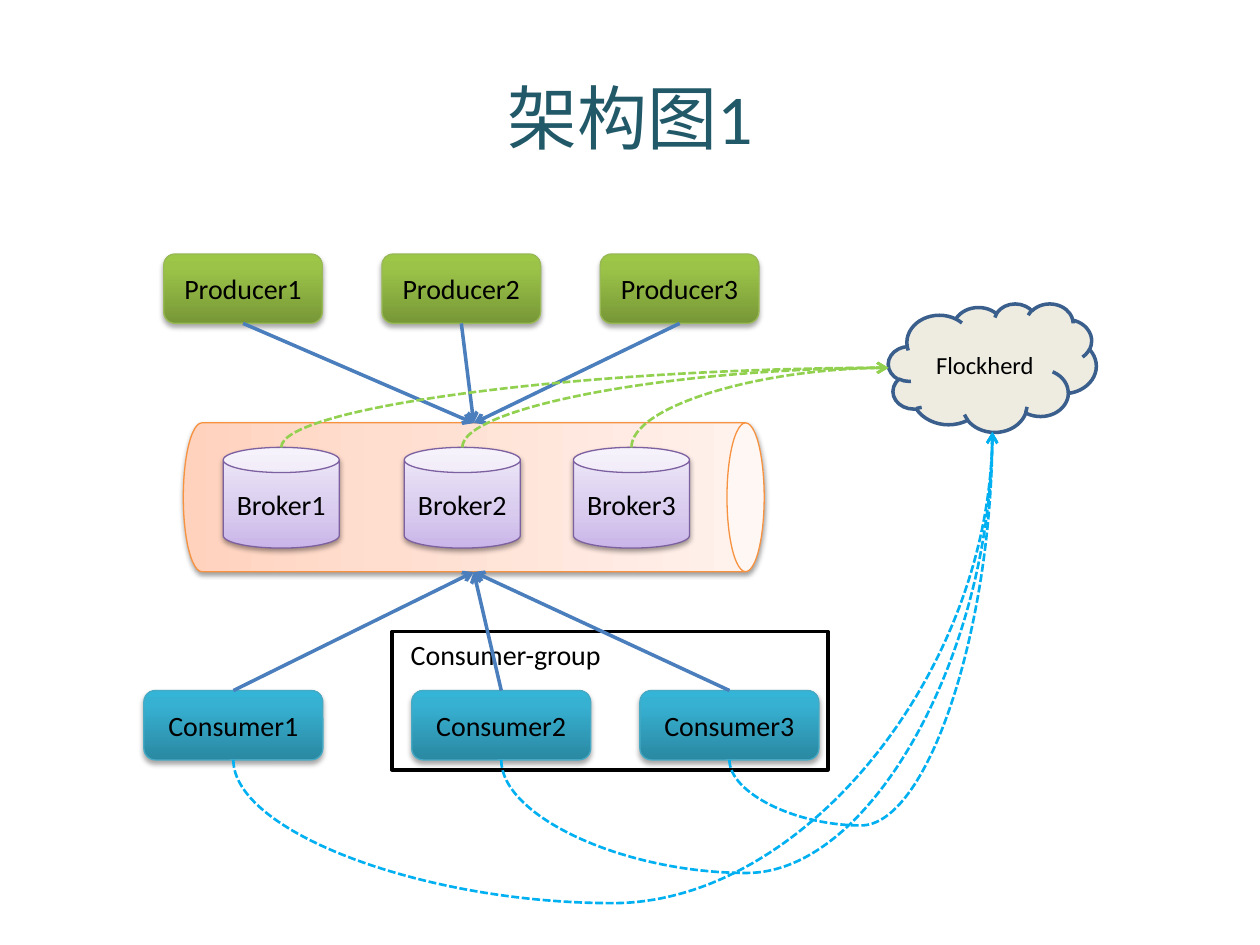
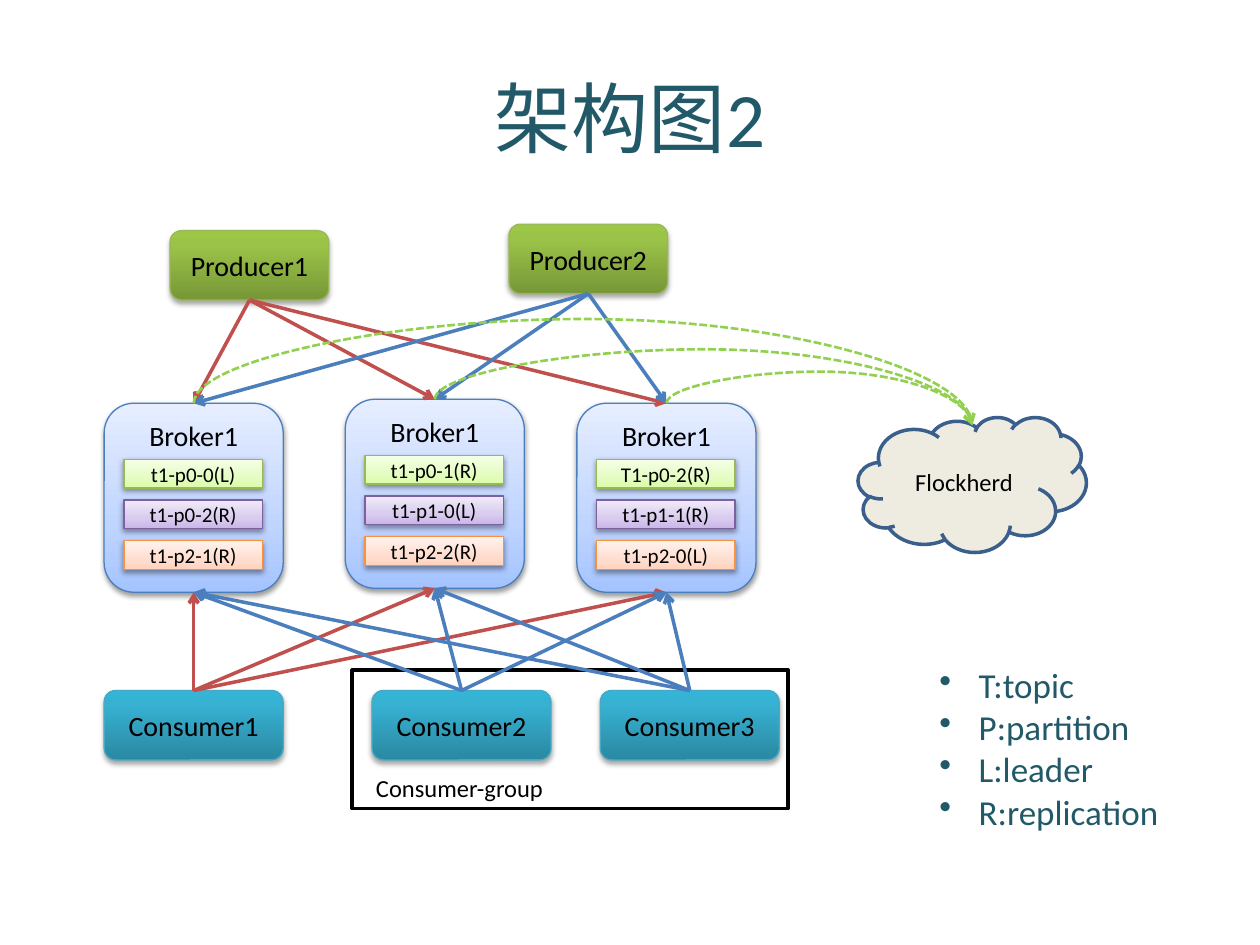
from dataclasses import dataclass

from lxml.etree import SubElement
from pptx import Presentation
from pptx.dml.color import RGBColor
from pptx.enum.dml import MSO_LINE as Dash
from pptx.enum.shapes import MSO_CONNECTOR as Wire, MSO_SHAPE as Kind
from pptx.enum.text import MSO_ANCHOR as Anchor, PP_ALIGN as Align
from pptx.oxml.ns import qn
from pptx.util import Cm, Pt

TOP, LEFT, FOOT, RIGHT = range(4)
# Connection site numbers that differ from those of a rectangle
SITES = {Kind.CAN: (1, 2, 3, 4), Kind.CLOUD: (3, 2, 1, 0)}


@dataclass(frozen=True)
class Look:
    stops: tuple
    line: str
    alpha: int = 38
    drop: float = 1.6


@dataclass(frozen=True)
class Theme:
    font: str = "Calibri"
    ink: str = "000000"
    teal: str = "215968"
    blue: str = "4B7EBC"
    red: str = "C0504D"
    lime: str = "92D050"
    sky: str = "00B0F0"
    sand: str = "EEECE1"
    navy: str = "3A5F8C"
    body: int = 16
    note: int = 14
    small: int = 12
    key: int = 20
    thick: float = 2
    mid: float = 1.5
    thin: float = 0.75
    green: Look = Look(((0, "779737"), (80, "9BC348"), (100, "9DC746")),
                       "98B955", 35, 1.8)
    aqua: Look = Look(((0, "2A88A2"), (80, "37B1D2"), (100, "34B4D6")),
                      "46AAC5", 35, 1.8)
    peach: Look = Look(((0, "FFD2BD"), (35, "FFDED0"), (100, "FFF2ED")), "F69240")
    lilac: Look = Look(((0, "C9B5E8"), (35, "D8CBEE"), (100, "F0EAF9")), "7D60A0")
    mint: Look = Look(((0, "DAFDA7"), (35, "E4FCC2"), (100, "F5FFE7")), "98B955")
    ice: Look = Look(((0, "A4C4FF"), (35, "BFD4FF"), (100, "E6EEFF")), "4B7EBC")


T = Theme()
rgb = RGBColor.from_string


# Text
def style(para, size, hue=T.ink, align=Align.CENTER):
    para.alignment = align
    para.font.name = T.font
    para.font.size = Pt(size)
    para.font.color.rgb = rgb(hue)


def label(shape, text, size, anchor=Anchor.MIDDLE, align=Align.CENTER):
    frame = shape.text_frame
    frame.text = text
    frame.word_wrap = True
    frame.vertical_anchor = anchor
    style(frame.paragraphs[0], size, align=align)


def title(slide, text, size):
    box = slide.shapes.add_textbox(Cm(1.27), Cm(0.76), Cm(22.86), Cm(3.18))
    label(box, text, size)
    box.text_frame.paragraphs[0].font.color.rgb = rgb(T.teal)


def legend(slide, items):
    box = slide.shapes.add_textbox(Cm(18.69), Cm(13.26), Cm(5.59), Cm(3.68))
    frame = box.text_frame
    frame.word_wrap = True
    frame.text = "\n".join(items)
    for para in frame.paragraphs:
        style(para, T.key, T.teal, Align.LEFT)
        props = para._p.get_or_add_pPr()
        props.set("marL", str(Cm(0.79)))
        props.set("indent", str(-Cm(0.79)))
        mark = props.makeelement(qn("a:buChar"), {"char": "•"})
        props.insert(0, mark)


# Shapes
def plain(slide, kind, x, y, w, h, line, width):
    shape = slide.shapes.add_shape(kind, Cm(x), Cm(y), Cm(w), Cm(h))
    shape.shadow.inherit = False
    shape.line.color.rgb = rgb(line)
    shape.line.width = Pt(width)
    return shape


def tint(parent, tag, hue, **attrs):
    node = SubElement(parent, qn(tag), attrs)
    return SubElement(node, qn("a:srgbClr"), val=hue)


def block(slide, kind, x, y, w, h, look, text="", size=T.body,
          anchor=Anchor.MIDDLE):
    shape = plain(slide, kind, x, y, w, h, look.line, T.thin)
    shape.fill.gradient()
    shape.fill.gradient_angle = 90
    props = shape._element.spPr
    stops = props.find(".//" + qn("a:gsLst"))
    stops[:] = []
    for pos, hue in look.stops:
        tint(stops, "a:gs", hue, pos=str(pos * 1000))
    shade = tint(props.find(qn("a:effectLst")), "a:outerShdw", T.ink,
                 blurRad=str(Pt(3.1)), dist=str(Pt(look.drop)),
                 dir="5400000", rotWithShape="0")
    SubElement(shade, qn("a:alpha"), val=str(look.alpha * 1000))
    if text:
        label(shape, text, size, anchor)
    return shape


def maker(slide, x, y, num):
    return block(slide, Kind.ROUNDED_RECTANGLE, x, y, 3.2, 1.4, T.green,
                 f"Producer{num}")


def readers(slide, x):
    return [block(slide, Kind.ROUNDED_RECTANGLE, x + dx, 13.92, 3.61, 1.4,
                  T.aqua, f"Consumer{num}")
            for num, dx in enumerate((0, 5.4, 10), 1)]


def group(slide, x, y, size, anchor, inset):
    shape = plain(slide, Kind.RECTANGLE, x, y, 8.79, 2.79, T.ink, T.thick)
    shape.fill.background()
    label(shape, "Consumer-group", size, anchor, Align.LEFT)
    shape.text_frame.margin_left = Cm(inset)


def cloud(slide, x, y, w, h):
    shape = plain(slide, Kind.CLOUD, x, y, w, h, T.navy, T.thick)
    shape.fill.solid()
    shape.fill.fore_color.rgb = rgb(T.sand)
    label(shape, "Flockherd", T.note)
    return shape


def broker(slide, x, y, parts):
    shape = block(slide, Kind.ROUNDED_RECTANGLE, x, y, 3.61, 3.81, T.ice,
                  "Broker1", anchor=Anchor.TOP)
    for row, (part, look) in enumerate(zip(parts, (T.mint, T.lilac, T.peach))):
        block(slide, Kind.RECTANGLE, x + 0.4, y + 1.13 + 0.82 * row, 2.79, 0.58,
              look, part, T.small)
    return shape


# Connectors
def spot(shape, side):
    x, y, w, h = shape.left, shape.top, shape.width, shape.height
    if shape.auto_shape_type == Kind.CLOUD and side == TOP:
        y += int(h * 0.06)
    return ((x + w // 2, y), (x, y + h // 2),
            (x + w // 2, shape.top + h), (x + w, y + h // 2))[side]


def site(shape, side):
    return SITES.get(shape.auto_shape_type, range(4))[side]


def ink(wire, hue, width):
    wire.line.color.rgb = rgb(hue)
    wire.line.width = Pt(width)
    SubElement(wire.line._get_or_add_ln(), qn("a:tailEnd"), type="arrow")
    SubElement(wire._element.spPr, qn("a:effectLst"))


def arrow(slide, shape, side, goal, hue):
    """Goal is a point, or a shape met on the side facing this one."""
    joined = not isinstance(goal, tuple)
    end = spot(goal, FOOT - side) if joined else goal
    wire = slide.shapes.add_connector(Wire.STRAIGHT, *spot(shape, side), *end)
    wire.begin_connect(shape, side)
    if joined:
        wire.end_connect(goal, FOOT - side)
    ink(wire, hue, T.thick)


def curve(slide, start, goal, hue, level=None):
    """Dashed curve to the right, leaving upright; level is its turning height."""
    (ax, ay), (bx, by) = spot(*start), spot(*goal)
    wire = slide.shapes.add_connector(Wire.CURVE, ax, ay, bx, by)
    wire.begin_connect(start[0], site(*start))
    wire.end_connect(goal[0], site(*goal))
    # The frame is turned a quarter, so width and height change places
    wide, high = abs(by - ay), bx - ax
    wire.width, wire.height = wide, high
    wire.left, wire.top = (ax + bx - wide) // 2, (ay + by - high) // 2
    frame = wire._element.spPr.find(qn("a:xfrm"))
    frame.set("rot", str((90 if by < ay else 270) * 60000))
    frame.set("flipH", "1")
    frame.set("flipV", "1" if by < ay else "0")
    form = wire._element.spPr.find(qn("a:prstGeom"))
    if level is None:
        form.set("prst", "curvedConnector2")
    else:
        bend = round((Cm(level) - ay) / (by - ay) * 100000)
        guides = form.find(qn("a:avLst"))
        SubElement(guides, qn("a:gd"), name="adj1", fmla=f"val {bend}")
    wire.line.dash_style = Dash.SQUARE_DOT
    ink(wire, hue, T.mid)


# Slides
def first(slide):
    title(slide, "架构图1", 40)
    hub = cloud(slide, 17.91, 6.12, 4.19, 2.59)
    makers = [maker(slide, 3.3 + 4.4 * i, 5.12, i + 1) for i in range(3)]

    pipe = block(slide, Kind.CAN, 8.05, 4.17, 3, 11.71, T.peach)
    pipe.rotation = 90
    drums = [block(slide, Kind.CAN, x, 9.02, 2.34, 2.03, T.lilac, f"Broker{num}")
             for num, x in enumerate((4.5, 8.15, 11.56), 1)]
    users = readers(slide, 2.9)
    group(slide, 7.9, 12.73, T.body, Anchor.TOP, 0.38)

    for item in makers:
        arrow(slide, item, FOOT, (Cm(9.55), Cm(8.53)), T.blue)
    for item in users:
        arrow(slide, item, TOP, (Cm(9.55), Cm(11.53)), T.blue)
    for drum in drums:
        curve(slide, (drum, TOP), (hub, LEFT), T.lime)
    for item, level in zip(users, (18.21, 17.6, 16.64)):
        curve(slide, (item, FOOT), (hub, FOOT), T.sky, level)


def second(slide):
    title(slide, "架构图2", 44)
    hub = cloud(slide, 17.3, 8.41, 4.6, 2.72)
    makers = [maker(slide, 3.43, 4.65, 1), maker(slide, 10.26, 4.52, 2)]
    users = readers(slide, 2.1)
    group(slide, 7.1, 13.51, T.note, Anchor.BOTTOM, 0.48)
    nodes = [broker(slide, *data) for data in (
        (2.1, 8.13, ("t1-p0-0(L)", "t1-p0-2(R)", "t1-p2-1(R)")),
        (6.96, 8.05, ("t1-p0-1(R)", "t1-p1-0(L)", "t1-p2-2(R)")),
        (11.63, 8.13, ("T1-p0-2(R)", "t1-p1-1(R)", "t1-p2-0(L)")))]

    for items, side in ((makers, FOOT), (users, TOP)):
        for num, item in enumerate(items):
            for node in nodes:
                arrow(slide, item, side, node, T.blue if num else T.red)
    for node, level in zip(nodes, (6.43, 7.04, 7.49)):
        curve(slide, (node, TOP), (hub, TOP), T.lime, level)
    legend(slide, ("T:topic", "P:partition", "L:leader", "R:replication"))


def main():
    deck = Presentation()
    deck.slide_width, deck.slide_height = Cm(25.4), Cm(19.05)
    for draw in (first, second):
        draw(deck.slides.add_slide(deck.slide_layouts[6]))
    deck.save("out.pptx")


if __name__ == "__main__":
    main()
